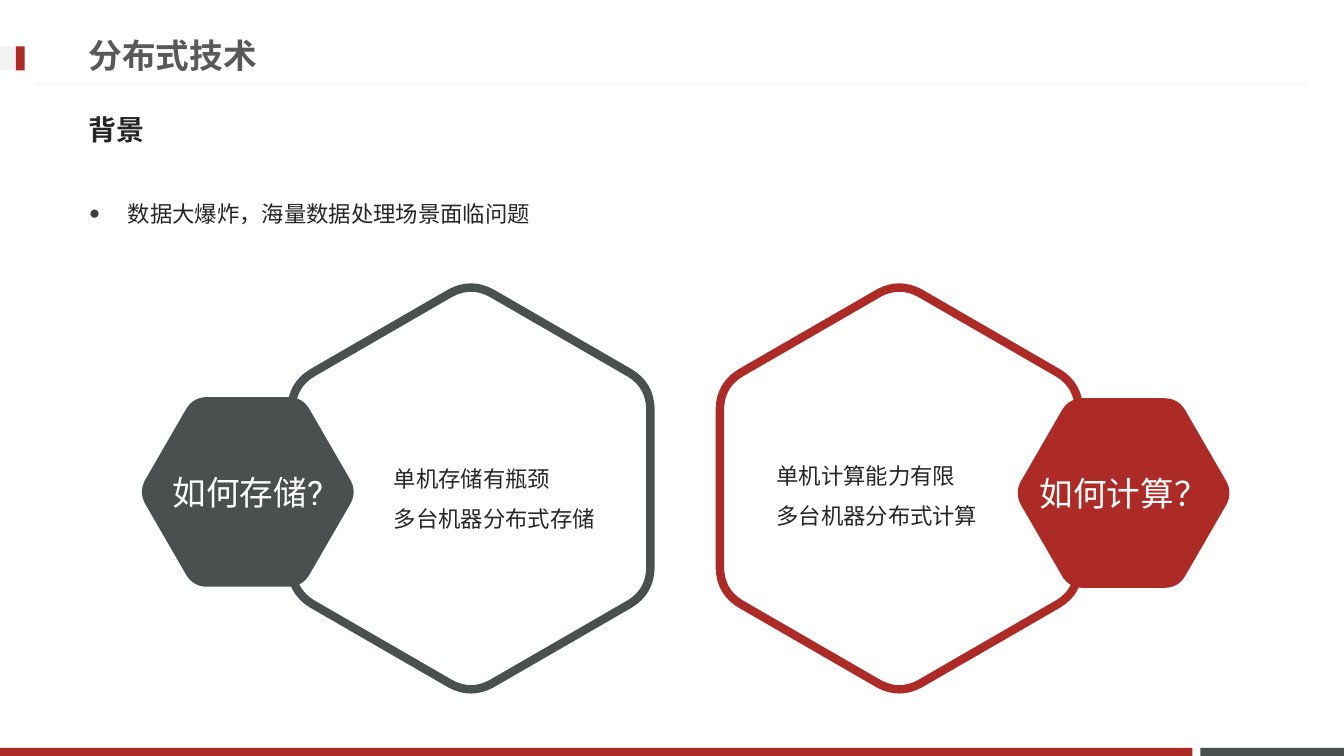
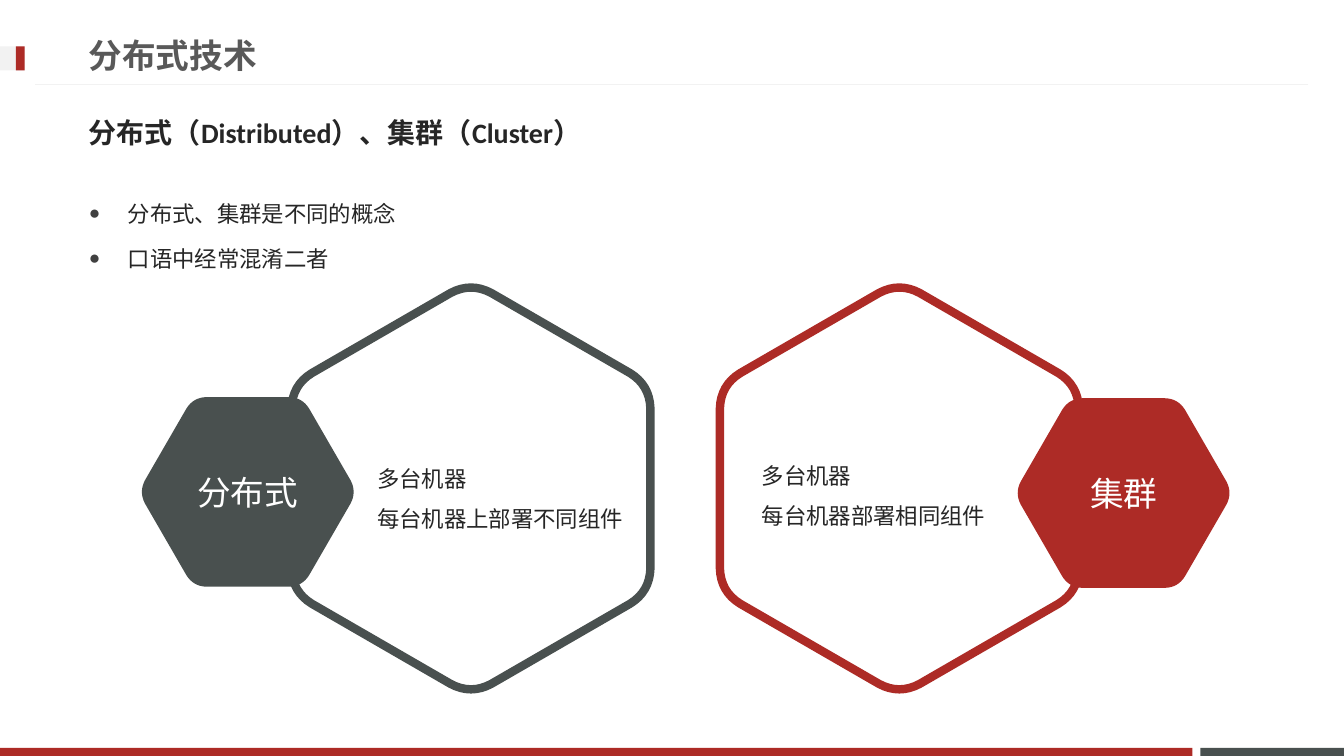
from math import cos, pi, sin

from lxml.etree import SubElement
from pptx import Presentation
from pptx.dml.color import RGBColor
from pptx.enum.lang import MSO_LANGUAGE_ID
from pptx.enum.shapes import MSO_CONNECTOR, MSO_SHAPE
from pptx.enum.text import MSO_ANCHOR, MSO_AUTO_SIZE, PP_ALIGN
from pptx.oxml.ns import qn
from pptx.util import Pt

RED = RGBColor(0xAD, 0x2B, 0x26)
SLATE = RGBColor(0x49, 0x50, 0x4F)
PALE = RGBColor(0xF2, 0xF2, 0xF2)
WHITE = RGBColor(0xFF, 0xFF, 0xFF)
INK = RGBColor(0x26, 0x26, 0x26)
GREY = RGBColor(0x59, 0x59, 0x59)
DOT = "404040"

TITLE = {"name": "Calibri", "size": Pt(24), "bold": True}
HEAD = {"name": "Calibri", "size": Pt(20), "bold": True}
BODY = {"name": "Calibri", "size": Pt(16), "bold": False}
LABEL = {"name": "Roboto", "size": Pt(24), "bold": False}

LEFT, WIDE = 56.2, 846.7
TITLE_BOX = (LEFT, 19, 690.5, 41)
LIST_BOX = (LEFT, 129.6, WIDE, 332)

BARS = [
    (857.5, 534.2, 102.5, 5.8, SLATE),
    (0, 534.2, 851.8, 5.8, RED),
    (0, 33.1, 17.6, 17.3, PALE),
    (11.3, 33.1, 6.3, 17.3, RED),
]

# Ring centre, badge centre, colour of each side
SIDES = [
    ((336.4, 348.9), (177, 351.4), SLATE),
    ((642.4, 348.9), (802.6, 352.2), RED),
]
RING = {"size": 148, "round": 29, "turn": pi / 6}
BADGE = {"size": 78.2, "round": 16.5, "turn": 0}

# Each side: label, lines, text box
PAGES = [
    {
        "head": "背景",
        "top": 72,
        "list": ["数据大爆炸，海量数据处理场景面临问题"],
        "sides": [
            ("如何存储?", ["单机存储有瓶颈", "多台机器分布式存储"],
             (274.3, 318.6, 170, 65.5)),
            ("如何计算？", ["单机计算能力有限", "多台机器分布式计算"],
             (547.5, 316.4, 170, 65.5)),
        ],
    },
    {
        "head": "分布式（Distributed）、集群（Cluster）",
        "top": 74.2,
        "list": ["分布式、集群是不同的概念", "口语中经常混淆二者"],
        "sides": [
            ("分布式", ["多台机器", "每台机器上部署不同组件"],
             (262.4, 318.6, 194.4, 65.5)),
            ("集群", ["多台机器", "每台机器部署相同组件"],
             (537.1, 316.4, 180, 65.5)),
        ],
    },
]


def place(shape, box):
    for name, value in zip(("left", "top", "width", "height"), box):
        setattr(shape, name, Pt(value))


def paint(shape, fill, line=None):
    shape.shadow.inherit = False
    shape.fill.solid()
    shape.fill.fore_color.rgb = fill
    if line is None:
        shape.line.fill.background()
    else:
        shape.line.color.rgb = line
        shape.line.width = Pt(6)


def write(frame, lines, style, color, align=PP_ALIGN.LEFT,
          anchor=MSO_ANCHOR.MIDDLE, space=None, gap=0,
          fit=MSO_AUTO_SIZE.NONE):
    """Fill a text frame, one paragraph a line."""
    frame.word_wrap = True
    frame.auto_size = fit
    frame.vertical_anchor = anchor
    for i, line in enumerate(lines):
        para = frame.add_paragraph() if i else frame.paragraphs[0]
        para.alignment = align
        para.line_spacing = space
        para.space_before = Pt(gap if i else 0)
        run = para.add_run()
        run.text = line
        run.font.color.rgb = color
        run.font.language_id = MSO_LANGUAGE_ID.SIMPLIFIED_CHINESE
        for name, value in style.items():
            setattr(run.font, name, value)


def indent(para, size, mark=None):
    """Set a hanging indent with a bullet, or switch the bullet off."""
    props = para._p.get_or_add_pPr()
    props.set("marL", str(Pt(size)))
    props.set("indent", str(-Pt(size)))
    if mark is None:
        SubElement(props, qn("a:buNone"))
        return
    tint = SubElement(props, qn("a:buClr"))
    SubElement(tint, qn("a:srgbClr"), val=DOT)
    SubElement(props, qn("a:buSzPct"), val="85000")
    SubElement(props, qn("a:buChar"), char=mark)


def bend(shape):
    """Turn each start, middle and end of a corner into one curve."""
    path = next(shape.element.iter(qn("a:path")))
    marks = [(int(pt.get("x")), int(pt.get("y")))
             for pt in path.iter(qn("a:pt"))]
    steps = list(path)
    for k in range(0, 18, 3):
        start, mid, end = marks[k:k + 3]
        curve = path.makeelement(qn("a:cubicBezTo"))
        pulls = [[round((4 * m - p) / 3) for m, p in zip(mid, far)]
                 for far in (end, start)]
        for x, y in (*pulls, end):
            SubElement(curve, qn("a:pt"), x=str(x), y=str(y))
        path.replace(steps[k + 1], curve)
        path.remove(steps[k + 2])


def hexagon(shapes, center, form, fill, line=None):
    """Draw a regular hexagon with round corners."""
    radius = form["round"]
    reach = form["size"] - radius / cos(pi / 6)
    points = []
    for corner in range(6):
        angle = form["turn"] + corner * pi / 3
        for lean in (-pi / 6, 0, pi / 6):
            points.append(tuple(
                Pt(mid + reach * wave(angle) + radius * wave(angle + lean))
                for mid, wave in zip(center, (cos, sin))))
    path = shapes.build_freeform(*points[0])
    path.add_line_segments(points[1:], close=True)
    shape = path.convert_to_shape()
    bend(shape)
    paint(shape, fill, line)
    return shape


def set_up(layout, slide):
    """Put the shared bars, rule and placeholder boxes on the layout."""
    shapes = slide.shapes
    rule = shapes.add_connector(
        MSO_CONNECTOR.STRAIGHT, Pt(934.6), Pt(60.5), Pt(25.2), Pt(60.5))
    rule.line.color.rgb = PALE
    rule.line.width = Pt(0.75)
    SubElement(rule._element.spPr, qn("a:effectLst"))
    decor = [rule]
    for *box, color in BARS:
        bar = shapes.add_shape(MSO_SHAPE.RECTANGLE, *map(Pt, box))
        paint(bar, color)
        decor.append(bar)
    for shape in decor:
        layout.shapes.element.append(shape.element)
    boxes = {0: TITLE_BOX, 1: LIST_BOX}
    for holder in layout.placeholders:
        if holder.placeholder_format.idx in boxes:
            place(holder, boxes[holder.placeholder_format.idx])


def fill_page(slide, page):
    title, items, head = slide.placeholders
    write(title.text_frame, ["分布式技术"], TITLE, GREY)
    place(head, (LEFT, page["top"], WIDE, 41))
    write(head.text_frame, [page["head"]], HEAD, INK)
    indent(head.text_frame.paragraphs[0], 0)
    write(items.text_frame, page["list"], BODY, INK,
          anchor=MSO_ANCHOR.TOP, space=1.5, gap=3.2)
    for para in items.text_frame.paragraphs:
        indent(para, 28, "●")

    shapes = slide.shapes
    rings = [hexagon(shapes, ring, RING, WHITE, color)
             for ring, _, color in SIDES]
    plates = [hexagon(shapes, badge, BADGE, color)
              for _, badge, color in SIDES]
    for plate, (label, lines, box) in zip(plates, page["sides"]):
        write(plate.text_frame, [label], LABEL, WHITE, PP_ALIGN.CENTER)
        note = shapes.add_textbox(*map(Pt, box))
        write(note.text_frame, lines, BODY, INK, space=1.5,
              fit=MSO_AUTO_SIZE.SHAPE_TO_FIT_TEXT)


def main():
    deck = Presentation()
    deck.slide_width, deck.slide_height = Pt(960), Pt(540)
    layout = deck.slide_layouts.get_by_name("Two Content")
    slides = [deck.slides.add_slide(layout) for _ in PAGES]
    set_up(layout, slides[0])
    for slide, page in zip(slides, PAGES):
        fill_page(slide, page)
    deck.save("out.pptx")


if __name__ == "__main__":
    main()
